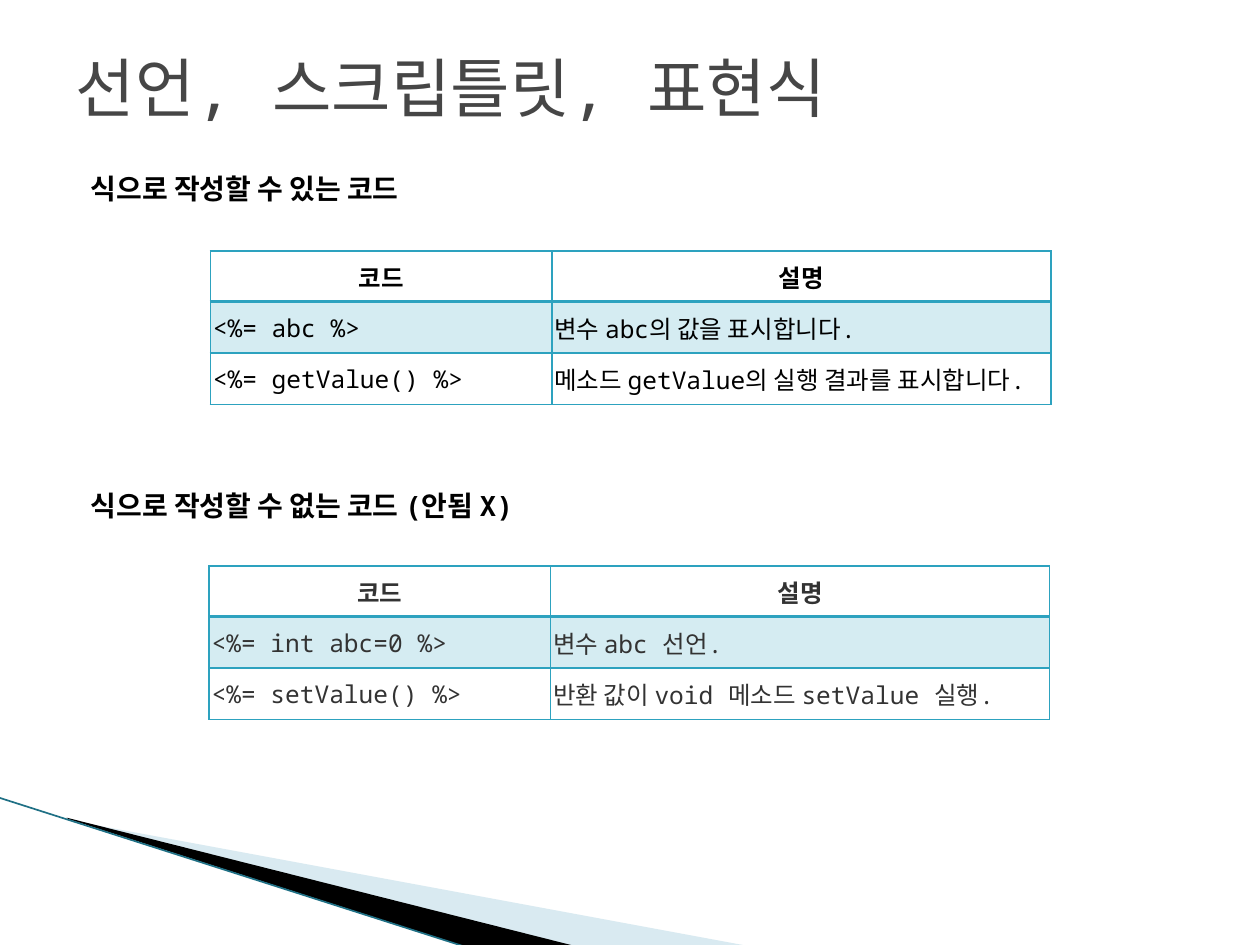
from lxml import etree
from pptx import Presentation
from pptx.dml.color import RGBColor
from pptx.enum import shapes, text
from pptx.oxml import ns
from pptx.util import Inches, Pt

FONT = "Noto Sans Mono"
BLACK = RGBColor(0x00, 0x00, 0x00)
GRAY = RGBColor(0x46, 0x46, 0x46)
DARK = RGBColor(0x33, 0x33, 0x33)
TEAL = RGBColor(0x2D, 0xA2, 0xBF)
PALE = RGBColor(0xA0, 0xCB, 0xDC)
DEEP = RGBColor(0x1F, 0x70, 0x85)

HEAD = ("코드", "설명")
VALID = [HEAD,
         ("<%= abc %>", "변수 abc의 값을 표시합니다."),
         ("<%= getValue() %>", "메소드 getValue의 실행 결과를 표시합니다.")]
WRONG = [HEAD,
         ("<%= int abc=0 %>", "변수 abc 선언."),
         ("<%= setValue() %>", "반환 값이 void 메소드 setValue 실행.")]


def sub(parent, tag, **attrs):
    return etree.SubElement(parent, ns.qn(tag), **attrs)


def style(para, size, color, bold=False, align=text.PP_ALIGN.LEFT):
    font = para.font
    font.name, font.size, font.bold = FONT, Pt(size), bold
    font.color.rgb = color
    para.alignment = align


def paint(fill, color, alpha=100):
    fill.solid()
    fill.fore_color.rgb = color
    if alpha < 100:
        clr = fill._xPr.find(ns.qn("a:solidFill"))[0]
        sub(clr, "a:alpha", val=str(alpha * 1000))


def place(shape, x, y, w, h):
    shape.left, shape.top = Inches(x), Inches(y)
    shape.width, shape.height = Inches(w), Inches(h)


def add_wedge(slide, points, color, alpha=100):
    start, *rest = [(Inches(x), Inches(y)) for x, y in points]
    pen = slide.shapes.build_freeform(*start)
    pen.add_line_segments(rest, close=True)
    wedge = pen.convert_to_shape()
    wedge.shadow.inherit = False
    wedge.line.fill.background()
    paint(wedge.fill, color, alpha)


def add_rule(slide, x1, y1, x2, y2):
    rule = slide.shapes.add_connector(
        shapes.MSO_CONNECTOR.STRAIGHT,
        Inches(x1), Inches(y1), Inches(x2), Inches(y2))
    rule.line.color.rgb = DEEP
    rule.line.width = Pt(0.95)
    sub(rule._element.spPr, "a:effectLst")


def add_borders(cell, row):
    props = cell._tc.get_or_add_tcPr()
    thick = {0: "B", 1: "T"}.get(row)
    for side in "LRTB":
        width = Pt(2 if side == thick else 1)
        line = sub(props, "a:ln" + side, w=str(width))
        sub(sub(line, "a:solidFill"), "a:srgbClr", val=str(TEAL))


def add_grid(slide, x, y, rows, color):
    frame = slide.shapes.add_table(
        len(rows), 2, Inches(x), Inches(y), Inches(6.67), Inches(1.22))
    table = frame.table
    table.first_row = table.horz_banding = False
    for col, width in zip(table.columns, (2.71, 3.96)):
        col.width = Inches(width)
    for r, row in enumerate(rows):
        for c, words in enumerate(row):
            cell = table.cell(r, c)
            cell.text = words
            cell.vertical_anchor = text.MSO_ANCHOR.MIDDLE
            cell.margin_left = cell.margin_right = Inches(0.02)
            cell.margin_top = cell.margin_bottom = Inches(0.02)
            align = text.PP_ALIGN.LEFT if r else text.PP_ALIGN.CENTER
            style(cell.text_frame.paragraphs[0], 14, color, r == 0, align)
            add_borders(cell, r)
            if r == 1:
                paint(cell.fill, TEAL, 20)
            else:
                cell.fill.background()


def set_title(slide, words):
    title = slide.shapes.title
    place(title, 0.5, 0.3, 9, 0.77)
    title.text_frame.text = words
    title.text_frame.vertical_anchor = text.MSO_ANCHOR.MIDDLE
    style(title.text_frame.paragraphs[0], 36.9, GRAY)


def set_body(slide, items):
    body = slide.placeholders[1]
    place(body, 0.5, 1.31, 9, 5.83)
    frame = body.text_frame
    frame.text = "\n".join(words for words, gap in items)
    for para, (words, gap) in zip(frame.paragraphs, items):
        style(para, 16, BLACK, True)
        para.space_before = Pt(gap)
        props = para._p.get_or_add_pPr()
        props.set("marL", str(Inches(0.4)))
        props.set("indent", str(Inches(-0.28)))
        props.find(ns.qn("a:spcBef")).addnext(
            etree.Element(ns.qn("a:buNone")))


def main():
    deck = Presentation()
    deck.slide_width, deck.slide_height = Inches(10), Inches(7.5)
    slide = deck.slides.add_slide(deck.slide_layouts[1])

    # Corner decoration
    add_wedge(slide, [(0.55, 6.51), (5.95, 7.51), (4.56, 7.51), (0.55, 6.5)],
              PALE, 40)
    add_wedge(slide, [(0.53, 6.49), (4.57, 7.51), (3.72, 7.52), (0.54, 6.5)],
              BLACK)
    add_rule(slide, -0.01, 6.33, 3.71, 7.52)

    # Title and headings
    set_title(slide, "선언, 스크립틀릿, 표현식")
    set_body(slide, [("식으로 작성할 수 있는 코드", 4),
                     ("식으로 작성할 수 없는 코드 (안됨 X)", 162)])

    # Code tables
    add_grid(slide, 1.67, 1.99, VALID, BLACK)
    add_grid(slide, 1.66, 4.49, WRONG, DARK)

    deck.save("out.pptx")


main()
